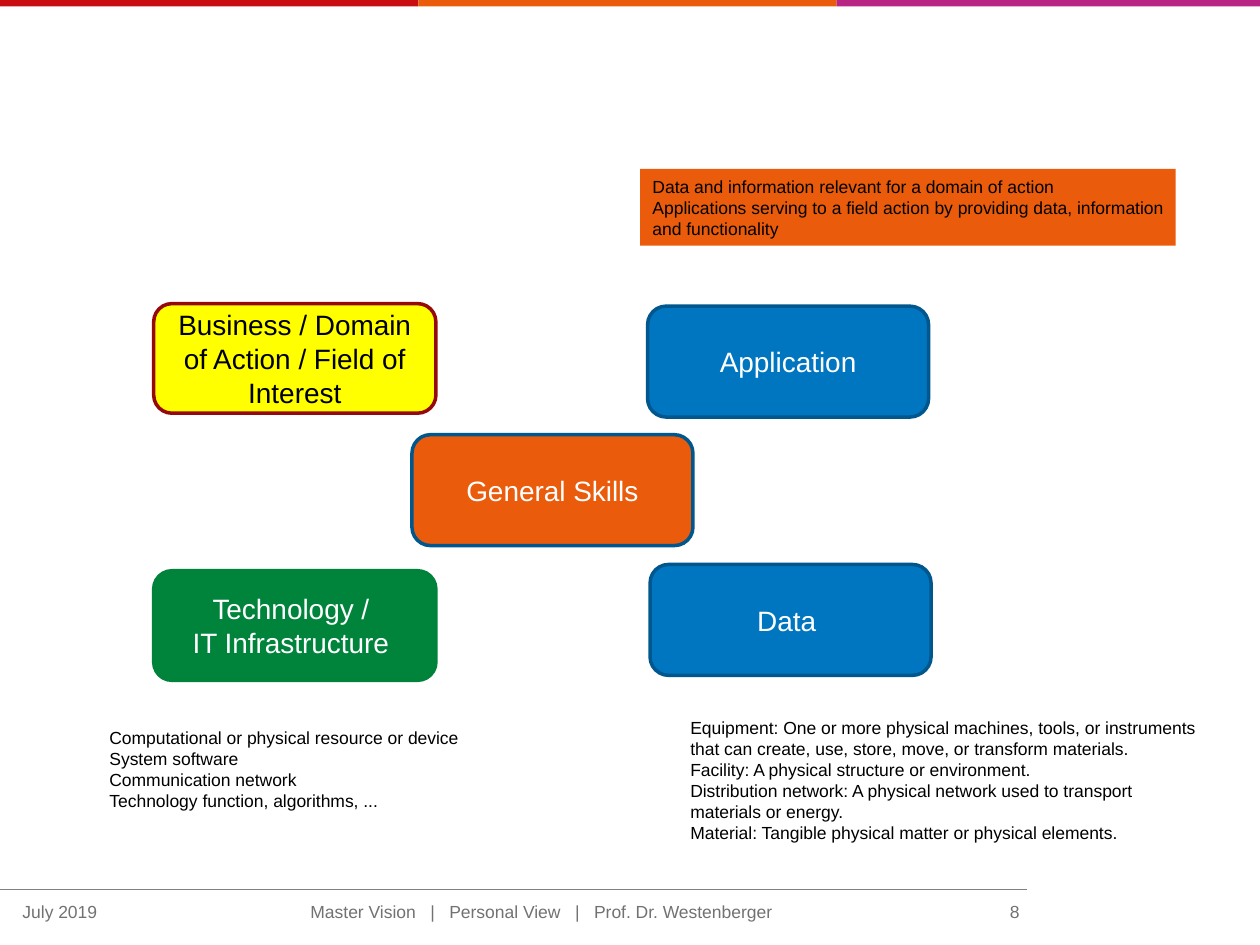
from lxml import etree
from pptx import Presentation
from pptx import util as u
from pptx.dml.color import RGBColor
from pptx.enum import shapes, text

COLS, ROWS = 100, 75
RED, ORANGE, MAGENTA = "C90C0F", "EA5B0C", "B82585"
BLUE, NAVY, GREEN = "0076C0", "00578E", "00843C"
WHITE, BLACK, GREY = "FFFFFF", "000000", "727272"
LEFT, CENTER, RIGHT = text.PP_ALIGN.LEFT, text.PP_ALIGN.CENTER, text.PP_ALIGN.RIGHT
MIDDLE, BOTTOM = text.MSO_ANCHOR.MIDDLE, text.MSO_ANCHOR.BOTTOM


def rgb(color):
    return RGBColor.from_string(color)


class Deck:
    """Holds the style and the current slide; lengths are grid columns and rows."""
    font = "Arial"
    small, large = 10, 16

    def __init__(self):
        self.prs = Presentation()
        self.prs.slide_width, self.prs.slide_height = u.Inches(10), u.Inches(7.5)
        self.s = self.prs.slides.add_slide(self.prs.slide_layouts[6])

    def x(self, cols):
        return round(self.prs.slide_width * cols / COLS)

    def y(self, rows):
        return round(self.prs.slide_height * rows / ROWS)

    def place(self, left, top, width, height):
        return self.x(left), self.y(top), self.x(width), self.y(height)

    def add_lines(self, sp, lines, size, color, align, anchor):
        tf = sp.text_frame
        tf.word_wrap = True
        tf.vertical_anchor = anchor
        for i, line in enumerate(lines):
            p = tf.paragraphs[0] if i == 0 else tf.add_paragraph()
            p.alignment = align
            r = p.add_run()
            r.text = line
            r.font.name, r.font.size = self.font, u.Pt(size)
            r.font.color.rgb = rgb(color)

    def shape(self, kind, at, fill, line=None):
        sp = self.s.shapes.add_shape(kind, *self.place(*at))
        sp.shadow.inherit = False
        sp.fill.solid()
        sp.fill.fore_color.rgb = rgb(fill)
        if line:
            sp.line.color.rgb = rgb(line)
            sp.line.width = u.Pt(2)
        else:
            sp.line.fill.background()
        return sp

    def bar(self, at, fill):
        return self.shape(shapes.MSO_SHAPE.RECTANGLE, at, fill)

    def box(self, at, lines, fill, line, color=WHITE):
        sp = self.shape(shapes.MSO_SHAPE.ROUNDED_RECTANGLE, at, fill, line)
        self.add_lines(sp, lines, self.large, color, CENTER, MIDDLE)

    def note(self, at, lines, fill=None):
        """Explanatory lines, on a coloured panel if fill is given."""
        sp = self.bar(at, fill) if fill else self.s.shapes.add_textbox(*self.place(*at))
        self.add_lines(sp, lines, self.small, BLACK, LEFT, BOTTOM)
        sp.text_frame.auto_size = text.MSO_AUTO_SIZE.SHAPE_TO_FIT_TEXT

    def footer(self, left, width, line, align):
        sp = self.s.shapes.add_textbox(*self.place(left, 70.8, width, 3.1))
        self.add_lines(sp, [line], self.small, GREY, align, MIDDLE)

    def rule(self, width, row):
        c = self.s.shapes.add_connector(shapes.MSO_CONNECTOR.STRAIGHT,
                                        0, self.y(row), self.x(width), self.y(row))
        c.line.color.rgb = rgb("808080")
        c.line.width = u.Pt(0.5)
        ns = "http://schemas.openxmlformats.org/drawingml/2006/main"
        etree.SubElement(c._element.spPr, f"{{{ns}}}effectLst")


def main():
    d = Deck()
    third = 33.2
    for i, color in enumerate((RED, ORANGE, MAGENTA)):
        left = i * third
        d.bar((left, 0, COLS - left if i == 2 else third, 0.5), color)

    d.rule(81.5, 70.6)
    d.footer(15.4, 55.1, "Master Vision   |   Personal View   |   Prof. Dr. Westenberger", CENTER)
    d.footer(0.8, 13.8, "July 2019", LEFT)
    d.footer(71.3, 10.6, "8", RIGHT)

    w, h = 22.3, 8.8
    d.box((12.2, 24.1, 22.4, 8.7), ["Business / Domain of Action / Field of Interest"],
          "FFFF00", "95090B", BLACK)
    d.box((51.6, 44.8, w, h), ["Data "], BLUE, NAVY)
    d.box((12.2, 45.3, 22.4, 8.7), ["Technology / ", "IT Infrastructure "], GREEN, "00823B")

    note_width = 42.5
    d.note((53.8, 56.3, note_width, 11.1), [
        "Equipment: One or more physical machines, tools, or instruments "
        "that can create, use, store, move, or transform materials.",
        "Facility: A physical structure or environment.",
        "Distribution network: A physical network used to transport materials or energy.",
        "Material: Tangible physical matter or physical elements."])
    d.note((7.7, 57.2, note_width, 7.7), [
        "Computational or physical resource or device",
        "System software",
        "Communication network",
        "Technology function, algorithms, ..."])
    d.note((50.8, 13.4, note_width, 6.1), [
        "Data and information relevant for a domain of action",
        "Applications serving to a field action by providing data, "
        "information and functionality"], ORANGE)

    d.box((51.4, 24.3, w, h), ["Application"], BLUE, NAVY)
    d.box((32.7, 34.5, w, h), ["General Skills"], ORANGE, NAVY)
    d.prs.save("out.pptx")


if __name__ == "__main__":
    main()
